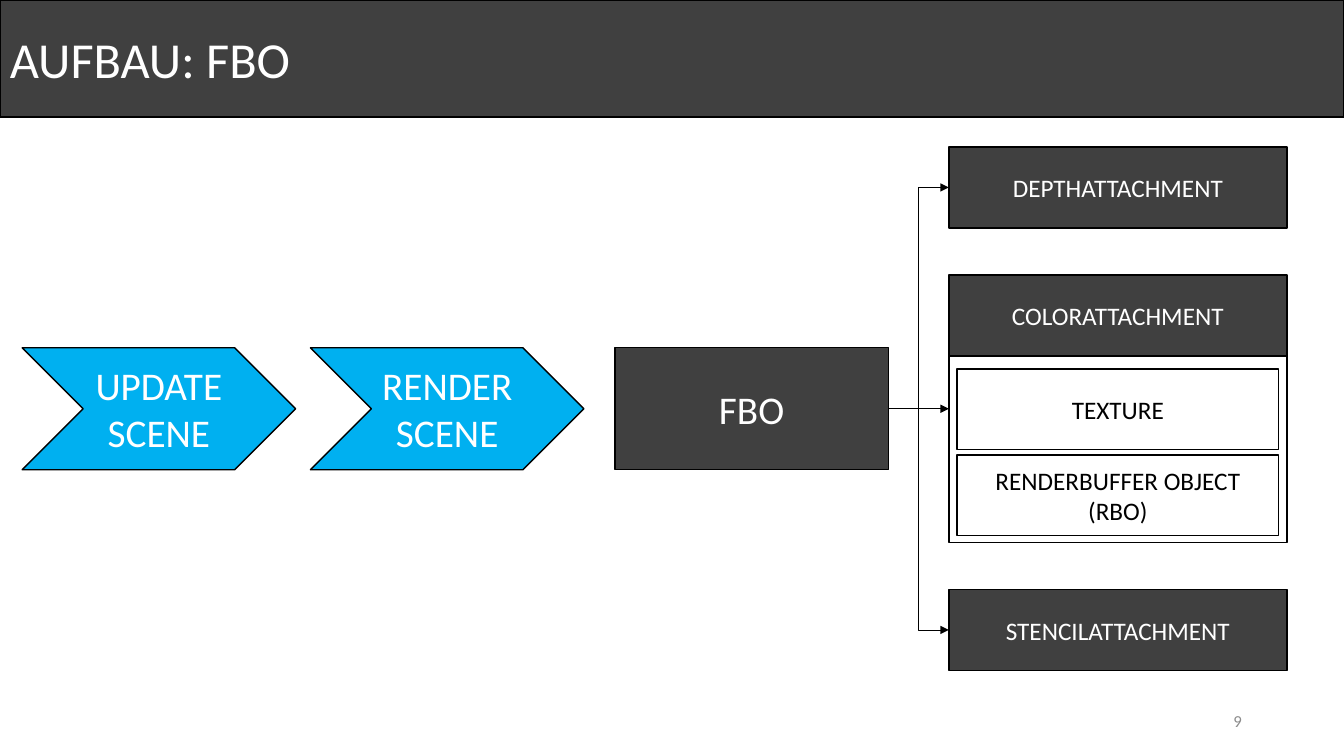
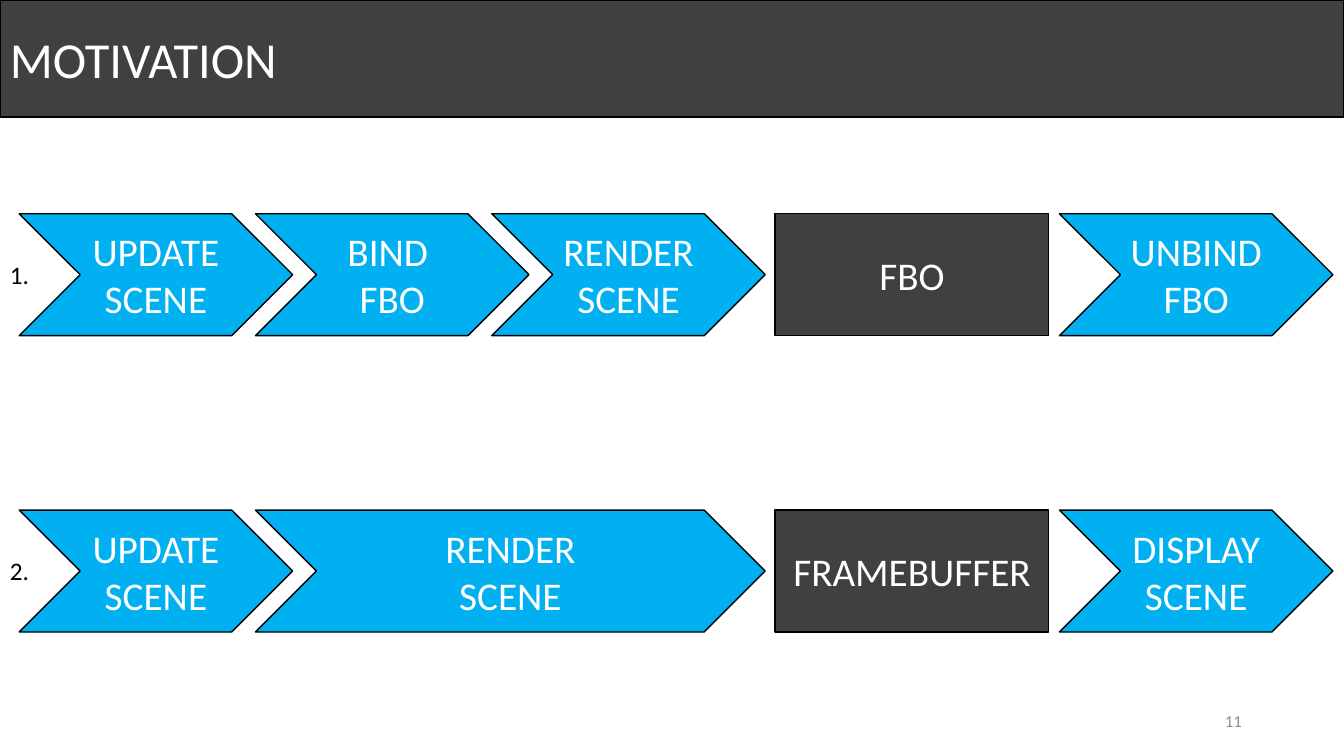
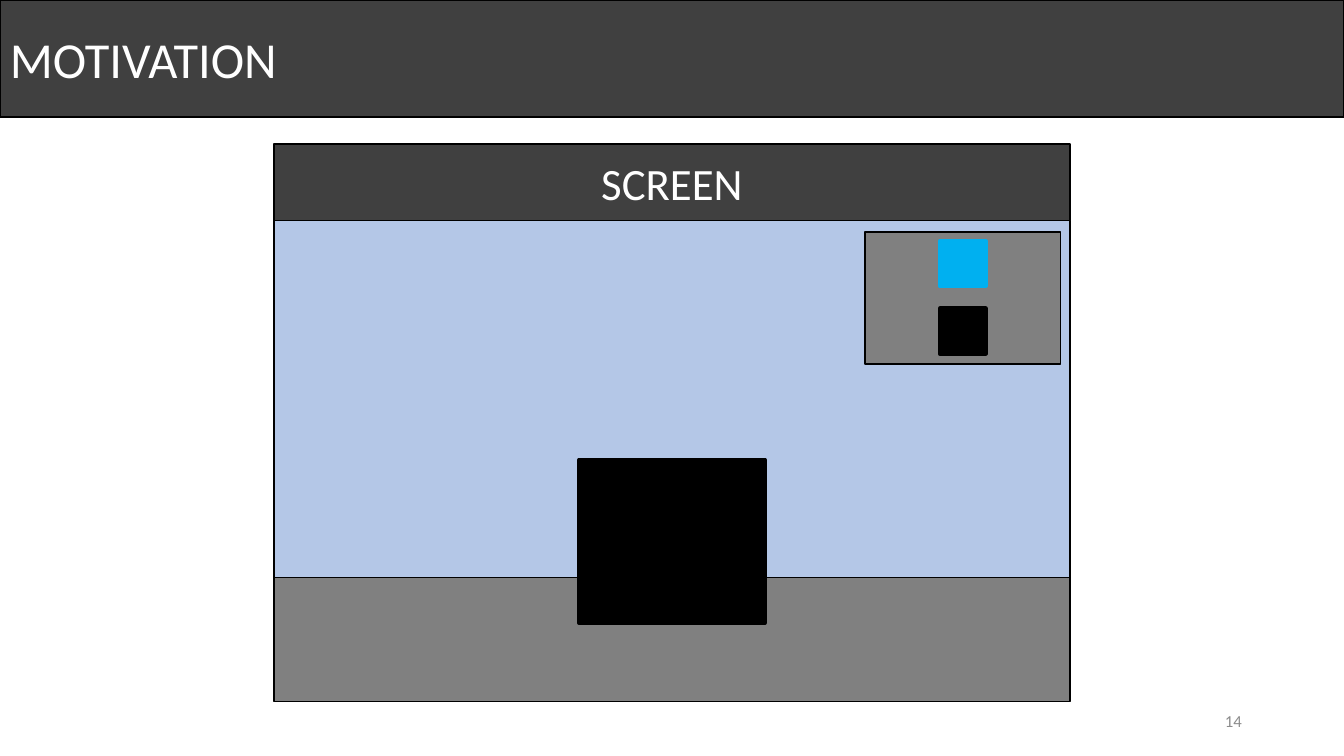
from lxml.etree import SubElement as Sub
from pptx import Presentation
from pptx.dml.color import RGBColor
from pptx.enum.shapes import MSO_CONNECTOR as Link, MSO_SHAPE as Kind
from pptx.enum.text import MSO_ANCHOR as Anchor, PP_ALIGN as Align
from pptx.oxml.ns import qn
from pptx.util import Inches, Pt

FONT = "Calibri"
BLACK = RGBColor(0, 0, 0)
WHITE = RGBColor(255, 255, 255)
DARK = RGBColor(0x40, 0x40, 0x40)
GRAY = RGBColor(0x80, 0x80, 0x80)
PALE = RGBColor(0x8C, 0x8C, 0x8C)
BLUE = RGBColor(0x00, 0xB0, 0xF0)
SKY = RGBColor(0xB4, 0xC7, 0xE7)

deck = Presentation()
deck.slide_width, deck.slide_height = Inches(13.33), Inches(7.5)

# The slide is a grid of 100 columns by 100 rows
COL, ROW = deck.slide_width / 100, deck.slide_height / 100


def write(shape, text, size, color, align):
    frame = shape.text_frame
    frame.word_wrap = True
    frame.vertical_anchor = Anchor.MIDDLE
    frame.text = text
    for para in frame.paragraphs:
        para.alignment = align
        for run in para.runs:
            run.font.name, run.font.size = FONT, Pt(size)
            run.font.color.rgb = color


def box(parent, area, fill, text="", size=28, color=WHITE, kind=Kind.RECTANGLE,
        align=Align.CENTER, line=BLACK, width=1):
    """Add a shape to a slide or group; area is column, row, columns, rows."""
    left, top, wide, high = area
    shape = parent.shapes.add_shape(kind, int(left * COL), int(top * ROW),
                                    int(wide * COL), int(high * ROW))
    shape.shadow.inherit = False
    shape.fill.solid()
    shape.fill.fore_color.rgb = fill
    shape.line.color.rgb = line
    shape.line.width = Pt(width)
    if text:
        write(shape, text, size, color, align)
    return shape


# Shared title band and page number
slides = []
for title, page in (("AUFBAU: FBO", 9), ("MOTIVATION", 11), ("MOTIVATION", 14)):
    slide = deck.slides.add_slide(deck.slide_layouts[6])
    box(slide, (0, 0, 100, 15.5), DARK, title, 36, align=Align.LEFT)
    label = slide.shapes.add_textbox(int(70.65 * COL), int(92.67 * ROW),
                                     int(22.5 * COL), int(5.33 * ROW))
    write(label, str(page), 12, PALE, Align.RIGHT)
    slides.append(slide)
build, flow, scene = slides

STEP, HIGH = 20.35, 16.13

# Structure of the FBO
TOP = 46
for left, text in ((1.65, "UPDATE\nSCENE"), (23.1, "RENDER\nSCENE")):
    box(build, (left, TOP, STEP, HIGH), BLUE, text, kind=Kind.CHEVRON)
fbo = box(build, (45.75, TOP, STEP, HIGH), DARK, "FBO")

SIDE, WIDE, BAR = 70.6, 25.15, 10.67
depth = box(build, (SIDE, 19.47, WIDE, BAR), DARK, "DEPTHATTACHMENT", 18)
stencil = box(build, (SIDE, 78, WIDE, BAR), DARK, "STENCILATTACHMENT", 18)
group = build.shapes.add_group_shape()
box(group, (SIDE, 36.4, WIDE, BAR), DARK, "COLORATTACHMENT", 18)
box(group, (SIDE, 36.4 + BAR, WIDE, 24.67), WHITE)
for top, text in ((48.8, "TEXTURE"), (60.2, "RENDERBUFFER OBJECT (RBO)")):
    box(group, (SIDE + 0.6, top, WIDE - 1.2, BAR), WHITE, text, 18, BLACK)

middle = fbo.top + fbo.height // 2
for kind, goal in ((Link.ELBOW, depth), (Link.ELBOW, stencil), (Link.STRAIGHT, None)):
    arrow = build.shapes.add_connector(kind, fbo.left + fbo.width, middle,
                                       int(SIDE * COL), middle)
    arrow.begin_connect(fbo, 3)
    if goal:
        arrow.end_connect(goal, 1)
    arrow.line.color.rgb = BLACK
    arrow.line.width = Pt(0.5)
    Sub(arrow.line._get_or_add_ln(), qn("a:tailEnd"), type="triangle")
    Sub(arrow._element.spPr, qn("a:effectLst"))

# Two render passes
PITCH = 17.58
START = 1.43
LAST = 78.83
passes = (
    ("1.", 28.27, "FBO", (
        (START, STEP, "UPDATE\nSCENE"),
        (START + PITCH, STEP, "BIND \nFBO"),
        (START + 2 * PITCH, STEP, "RENDER\nSCENE"),
        (LAST, STEP, "UNBIND \nFBO"))),
    ("2.", 67.47, "FRAMEBUFFER", (
        (START, STEP, "UPDATE\nSCENE"),
        (START + PITCH, STEP + PITCH, "RENDER\nSCENE"),
        (LAST, STEP, "DISPLAY\nSCENE"))),
)
for mark, top, target, steps in passes:
    for left, wide, text in steps:
        box(flow, (left, top, wide, HIGH), BLUE, text, kind=Kind.CHEVRON)
    box(flow, (57.68, top, STEP, HIGH), DARK, target)
    label = flow.shapes.add_textbox(0, int((top + 5.33) * ROW),
                                    int(3.08 * COL), int(5.33 * ROW))
    write(label, mark, 18, BLACK, Align.LEFT)

# Screen with a small map in its corner
LEFT, SPAN = 20.38, 59.25
group = scene.shapes.add_group_shape()
box(group, (LEFT, 29.2, SPAN, 63.2), SKY)
box(group, (LEFT, 76.4, SPAN, 16.4), GRAY)
box(group, (43.1, 60.8, 13.8, 21.6), BLACK, width=3)
box(group, (LEFT, 19.07, SPAN, 10.13), DARK, "SCREEN", 32)
box(group, (64.35, 30.67, 14.55, 17.47), GRAY)
for top, fill in ((40.8, BLACK), (31.87, BLUE)):
    box(group, (69.93, top, 3.4, 6), fill, line=fill, width=3)

deck.save("out.pptx")
